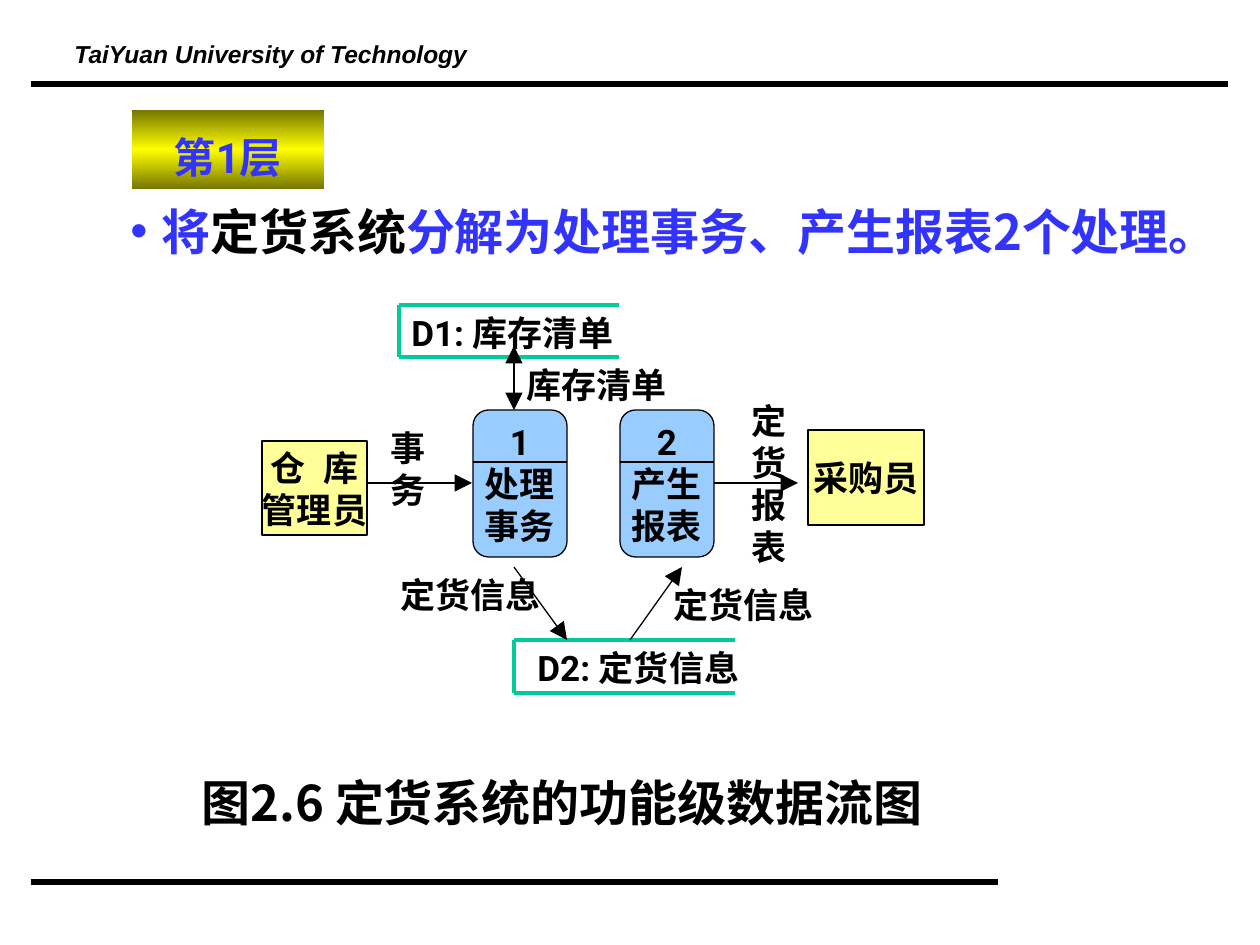
from copy import deepcopy
from dataclasses import dataclass

from lxml import etree
from pptx import Presentation, util as u
from pptx.dml.color import RGBColor
from pptx.enum import shapes, text
from pptx.oxml.ns import qn

PX = 914400 / 126
COLORS = {
    "black": "000000", "blue": "3333FF", "store": "00CC99",
    "entity": "FFFF99", "process": "99CCFF", "olive": "767600", "yellow": "FFFF00",
}
LATIN, CJK, HEADER = "Roboto", "Noto Sans CJK SC", "Arial"


@dataclass
class Box:
    x: int
    y: int
    w: int
    h: int


@dataclass
class Node:
    box: Box
    label: str
    kind: str


@dataclass
class Store:
    box: Box
    label: str
    label_box: Box


@dataclass
class Flow:
    x1: int
    y1: int
    x2: int
    y2: int
    label: str
    label_box: Box
    both: bool = False


PROCESS_W, PROCESS_H, NUMBER_H = 94, 147, 52
NODES = [
    Node(Box(262, 441, 105, 94), "仓  库\n管理员", "entity"),
    Node(Box(473, 410, PROCESS_W, PROCESS_H), "1\n处理\n事务", "process"),
    Node(Box(620, 410, PROCESS_W, PROCESS_H), "2\n产生\n报表", "process"),
    Node(Box(808, 430, 116, 95), "采购员", "entity"),
]
STORES = [
    Store(Box(399, 305, 220, 52), "D1: 库存清单", Box(399, 305, 251, 55)),
    Store(Box(514, 640, 221, 53), "D2: 定货信息", Box(525, 640, 273, 55)),
]
FLOWS = [
    Flow(514, 346, 514, 410, "库存清单", Box(514, 357, 172, 55), both=True),
    Flow(368, 483, 472, 483, "事务", Box(378, 420, 94, 97)),
    Flow(714, 483, 798, 483, "定货报表", Box(739, 393, 94, 181)),
    Flow(514, 567, 567, 640, "定货信息", Box(388, 567, 179, 55)),
    Flow(630, 640, 682, 567, "定货信息", Box(661, 577, 227, 55)),
]


def px(n: int) -> u.Emu:
    return u.Emu(round(n * PX))


def rgb(name: str) -> RGBColor:
    return RGBColor.from_string(COLORS[name])


def place(box: Box) -> list[u.Emu]:
    return [px(n) for n in (box.x, box.y, box.w, box.h)]


def add_run(p, content: str, size: int, color: str, font: str, italic: bool = False) -> None:
    r = p.add_run()
    r.text = content
    f = r.font
    f.size, f.bold, f.italic, f.name = u.Pt(size), True, italic, font
    f.color.rgb = rgb(color)
    etree.SubElement(r._r.get_or_add_rPr(), qn("a:ea")).set("typeface", font)


def write(s, content: str, *, size: int = 20, color: str = "black", font: str = LATIN,
          italic: bool = False, align=text.PP_ALIGN.LEFT, anchor=text.MSO_ANCHOR.TOP,
          wrap: bool = True, spacing: float | None = None) -> None:
    """Fill a shape with one paragraph per line of content."""
    tf = s.text_frame
    tf.word_wrap, tf.vertical_anchor = wrap, anchor
    for i, line in enumerate(content.split("\n")):
        p = tf.add_paragraph() if i else tf.paragraphs[0]
        p.alignment = align
        if spacing:
            p.line_spacing = spacing
        add_run(p, line, size, color, font, italic)


def add_text(sp, box: Box, content: str, **fmt) -> None:
    write(sp.add_textbox(*place(box)), content, **fmt)


def add_line(sp, x1: int, y1: int, x2: int, y2: int, color: str = "black",
             width: float = 0.75, arrows: tuple[str, ...] = ()) -> None:
    s = sp.add_connector(shapes.MSO_CONNECTOR.STRAIGHT, px(x1), px(y1), px(x2), px(y2))
    s.line.width = u.Pt(width)
    s.line.color.rgb = rgb(color)
    for end in arrows:
        head = etree.SubElement(s.line._get_or_add_ln(), qn(f"a:{end}"))
        for key, value in (("type", "triangle"), ("w", "lg"), ("len", "lg")):
            head.set(key, value)
    etree.SubElement(s._element.spPr, qn("a:effectLst"))


def add_node(sp, node: Node) -> None:
    b = node.box
    is_process = node.kind == "process"
    preset = shapes.MSO_SHAPE.ROUNDED_RECTANGLE if is_process else shapes.MSO_SHAPE.RECTANGLE
    s = sp.add_shape(preset, *place(b))
    s.shadow.inherit = False
    s.fill.solid()
    s.fill.fore_color.rgb = rgb(node.kind)
    s.line.color.rgb = rgb("black")
    s.line.width = u.Pt(0.75)
    write(s, node.label, align=text.PP_ALIGN.CENTER, anchor=text.MSO_ANCHOR.MIDDLE, wrap=False)
    if is_process:
        add_line(sp, b.x, b.y + NUMBER_H, b.x + b.w, b.y + NUMBER_H)


def add_store(sp, store: Store) -> None:
    """Draw a data store: a box open on the right."""
    b = store.box
    right, bottom = b.x + b.w, b.y + b.h
    for ends in ((b.x, b.y, right, b.y), (b.x, b.y, b.x, bottom), (b.x, bottom, right, bottom)):
        add_line(sp, *ends, color="store", width=2)
    add_text(sp, store.label_box, store.label)


def add_level_banner(sp) -> None:
    s = sp.add_shape(shapes.MSO_SHAPE.RECTANGLE, *place(Box(132, 110, 192, 79)))
    s.shadow.inherit = False
    s.line.fill.background()
    s.fill.gradient()
    s.fill.gradient_angle = 90
    stop_list = s.fill._fill._gradFill.gsLst
    stop_list.append(deepcopy(stop_list[0]))
    for stop, pos, color in zip(s.fill.gradient_stops, (0, 0.5, 1), ("olive", "yellow", "olive")):
        stop.position = pos
        stop.color.rgb = rgb(color)
    write(s, "第1层", size=24, color="blue", align=text.PP_ALIGN.CENTER, spacing=1.3)


def add_summary(sp) -> None:
    s = sp.add_textbox(*place(Box(118, 195, 1142, 72)))
    s.text_frame.word_wrap = True
    p = s.text_frame.paragraphs[0]
    p.alignment = text.PP_ALIGN.JUSTIFY
    pPr = p._p.get_or_add_pPr()
    pPr.set("marL", str(px(31)))
    pPr.set("indent", str(px(-31)))
    bullet_color = etree.SubElement(pPr, qn("a:buClr"))
    etree.SubElement(bullet_color, qn("a:srgbClr")).set("val", COLORS["blue"])
    etree.SubElement(pPr, qn("a:buFont")).set("typeface", HEADER)
    etree.SubElement(pPr, qn("a:buChar")).set("char", "•")
    add_run(p, "将", 28, "blue", CJK)
    add_run(p, "定货系统", 28, "black", LATIN)
    add_run(p, "分解为处理事务、产生报表2个处理。", 28, "blue", CJK)


def main() -> None:
    prs = Presentation()
    prs.slide_width, prs.slide_height = px(1260), px(945)
    sp = prs.slides.add_slide(prs.slide_layouts[6]).shapes

    add_line(sp, 31, 882, 998, 882, width=3)
    add_line(sp, 31, 84, 1228, 84, width=3)
    add_text(sp, Box(62, 41, 421, 34), "TaiYuan University of Technology",
             size=14, font=HEADER, italic=True, wrap=False, spacing=0.7)
    add_level_banner(sp)
    add_summary(sp)

    for store in STORES:
        add_store(sp, store)
    for node in NODES:
        add_node(sp, node)
    for f in FLOWS:
        arrows = ("headEnd", "tailEnd") if f.both else ("tailEnd",)
        add_line(sp, f.x1, f.y1, f.x2, f.y2, arrows=arrows)
        add_text(sp, f.label_box, f.label)

    add_text(sp, Box(189, 766, 798, 131), "图2.6 定货系统的功能级数据流图", size=28, font=CJK)
    prs.save("out.pptx")


if __name__ == "__main__":
    main()
